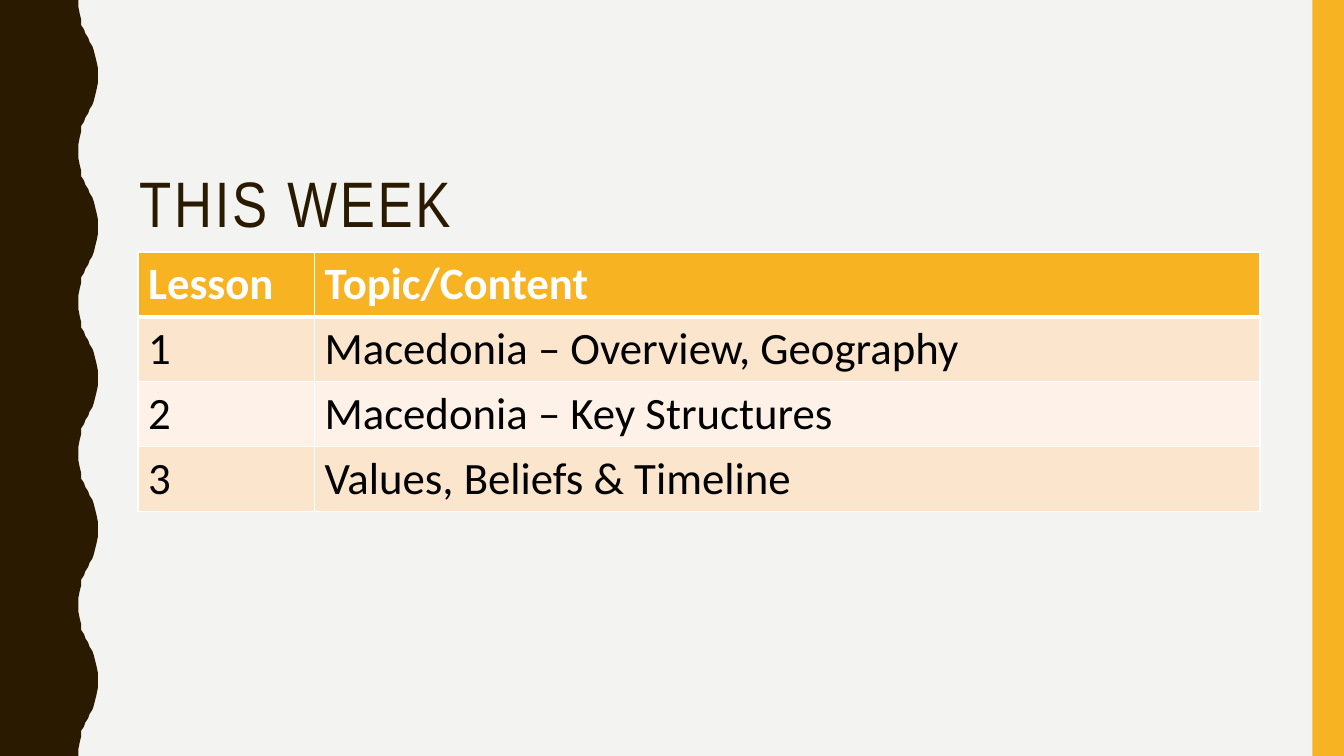
from pptx import Presentation
from pptx.dml.color import RGBColor
from pptx.enum.shapes import MSO_SHAPE as SHAPE
from pptx.enum.text import MSO_ANCHOR as ANCHOR, MSO_AUTO_SIZE as AUTO, PP_ALIGN as ALIGN
from pptx.oxml import parse_xml
from pptx.oxml.ns import nsdecls
from pptx.util import Pt

WIDTH, HEIGHT = 960, 540
HALF_WAVE = [(56.2, 0), (56.2, 5), (56.9, 10), (57.6, 14.4), (58.3, 18),
             (59.8, 21), (61.2, 24), (62.6, 27), (64.1, 30), (65.5, 33),
             (67, 36), (68.4, 39.6), (69.1, 44), (69.8, 49), (69.8, 54)]
PERIOD = 108
LESSONS = [("Lesson", "Topic/Content"),
           ("1", "Macedonia – Overview, Geography"),
           ("2", "Macedonia – Key Structures"),
           ("3", "Values, Beliefs & Timeline")]


def color(value):
    return RGBColor.from_string(value)


class Deck:
    dark, gold, paper, white, black = "2A1A00", "F8B323", "F3F3F2", "FFFFFF", "000000"
    bands = ("FCE5CD", "FEF2E8")
    title_font = {"name": "Arial Narrow", "size": Pt(45.9), "bold": False}
    cell_font = {"name": "Calibri", "size": Pt(32)}

    def __init__(self, prs):
        self.s = prs.slides.add_slide(prs.slide_layouts[5])
        self.paint(self.s.background.fill, self.paper)

    def paint(self, fill, value):
        fill.solid()
        fill.fore_color.rgb = color(value)

    def finish(self, sp, value):
        sp.shadow.inherit = False
        self.paint(sp.fill, value)
        sp.line.fill.background()

    def style(self, font, values, value):
        for name, setting in values.items():
            setattr(font, name, setting)
        font.color.rgb = color(value)

    def outline(self, points, value):
        builder = self.s.shapes.build_freeform(*points[0], scale=Pt(1))
        builder.add_line_segments(points[1:], close=True)
        self.finish(builder.convert_to_shape(), value)

    def bar(self, box, value):
        sp = self.s.shapes.add_shape(SHAPE.RECTANGLE, *map(Pt, box))
        self.finish(sp, value)

    def title(self, text, box, spacing):
        sp = self.s.shapes.title
        sp.left, sp.top, sp.width, sp.height = map(Pt, box)
        tf = sp.text_frame
        tf.auto_size, tf.vertical_anchor, tf.word_wrap = AUTO.NONE, ANCHOR.TOP, True
        p = tf.paragraphs[0]
        p.alignment, p.line_spacing = ALIGN.LEFT, 0.9
        r = p.add_run()
        r.text = text
        self.style(r.font, self.title_font, self.dark)
        r._r.get_or_add_rPr().set("spc", str(spacing * 100))

    def borders(self, cell, bottom):
        props = cell._tc.get_or_add_tcPr()
        for side, width in {"L": 1, "R": 1, "T": 1, "B": bottom}.items():
            props.append(parse_xml(
                f'<a:ln{side} {nsdecls("a")} w="{Pt(width)}"><a:solidFill>'
                f'<a:srgbClr val="{self.white}"/></a:solidFill></a:ln{side}>'))

    def table(self, rows, left, top, widths, height):
        box = map(Pt, (left, top, sum(widths), height * len(rows)))
        table = self.s.shapes.add_table(len(rows), len(widths), *box).table
        for column, width in zip(table.columns, widths):
            column.width = Pt(width)
        for i, row in enumerate(rows):
            header = i == 0
            for j, text in enumerate(row):
                cell = table.cell(i, j)
                self.borders(cell, 3 if header else 1)
                self.paint(cell.fill, self.gold if header else self.bands[(i - 1) % 2])
                r = cell.text_frame.paragraphs[0].add_run()
                r.text = text
                self.style(r.font, {**self.cell_font, "bold": header},
                           self.white if header else self.black)


def wave_edge():
    back = [(x, PERIOD - y) for x, y in reversed(HALF_WAVE[:-1])]
    wave = HALF_WAVE + back
    return [(x, y + top) for top in range(0, HEIGHT, PERIOD) for x, y in wave]


def main():
    prs = Presentation()
    prs.slide_width, prs.slide_height = Pt(WIDTH), Pt(HEIGHT)
    deck = Deck(prs)
    deck.outline([(0, 0), *wave_edge(), (0, HEIGHT)], deck.dark)
    deck.bar((937.5, 0, 22.5, HEIGHT), deck.gold)
    deck.title("THIS WEEK", (92.2, 119.5, 801.4, 45.4), 2)
    deck.table(LESSONS, 98.6, 180, (126, 675.4), 46.2)
    prs.save("out.pptx")


if __name__ == "__main__":
    main()
